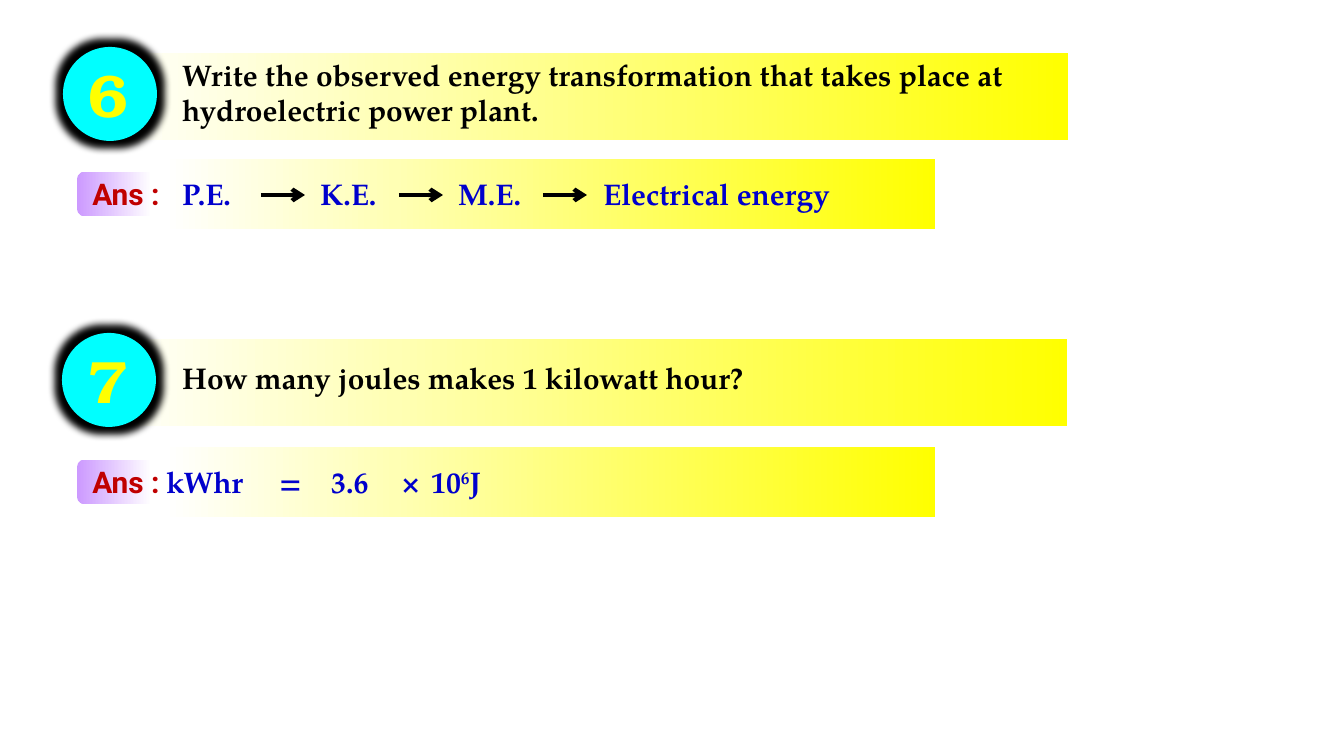
from lxml import etree
from pptx import Presentation
from pptx import util as u
from pptx.dml import color
from pptx.enum import shapes, text
from pptx.oxml import ns

SCALE = 914400 / 134.4
KIND = shapes.MSO_SHAPE
SERIF = dict(name="TeX Gyre Pagella", size=u.Pt(16), bold=True)
SANS = dict(SERIF, name="Roboto")
DIGIT = dict(name="TeX Gyre Bonum", size=u.Pt(32), bold=True)
MIDDLE = dict(word_wrap=True, vertical_anchor=text.MSO_ANCHOR.MIDDLE)
GROW = dict(word_wrap=True, auto_size=text.MSO_AUTO_SIZE.SHAPE_TO_FIT_TEXT)
YELLOW = [(0, "FFFF00"), (70, "FFFFB4"), (100, "FFFFFF")]
VIOLET = [(0, "CC99FF"), (55, "FFFFFF")]
BLUE = "0000CC"


def px(*vals):
    """Turn pixel lengths into EMU."""
    return [u.Emu(round(val * SCALE)) for val in vals]


def rgb(code):
    """Make a colour from a hex string."""
    return color.RGBColor.from_string(code)


def apply(obj, form):
    """Set each attribute named in a format dict."""
    for key, val in form.items():
        setattr(obj, key, val)


def child(node, tag, **attrs):
    """Append a drawing element with attributes."""
    return etree.SubElement(node, ns.qn("a:" + tag), attrs)


def write(frame, parts, font, hue, form, align=text.PP_ALIGN.LEFT):
    """Fill a frame with runs, raising every second one."""
    apply(frame, form)
    para = frame.paragraphs[0]
    para.alignment = align
    for num, part in enumerate(parts):
        run = para.add_run()
        run.text = part
        apply(run.font, font)
        run.font.color.rgb = rgb(hue)
        if num % 2:
            run.font._element.set("baseline", "30000")
    return para


def label(pool, box, parts, font, hue, form, align=text.PP_ALIGN.LEFT):
    """Add a text box."""
    frame = pool.add_textbox(*px(*box)).text_frame
    return write(frame, parts, font, hue, form, align)


def plate(pool, kind, box):
    """Add a shape without line or shadow."""
    shape = pool.add_shape(kind, *px(*box))
    shape.shadow.inherit = False
    shape.line.fill.background()
    return shape


def fade(pool, kind, box, stops, angle):
    """Add a shape with a linear gradient."""
    shape = plate(pool, kind, box)
    shape.fill.gradient()
    shape.fill.gradient_angle = angle
    ramp = shape._element.spPr.find(".//" + ns.qn("a:gsLst"))
    for old in list(ramp):
        ramp.remove(old)
    for pos, hue in stops:
        stop = child(ramp, "gs", pos=str(pos * 1000))
        child(stop, "srgbClr", val=hue)
    return shape


def badge(pool, left, top, digit):
    """Add a glowing disc with an outlined digit."""
    disc = plate(pool, KIND.OVAL, (left, top, 94, 94))
    disc.fill.solid()
    disc.fill.fore_color.rgb = rgb("00FFFF")
    effect = disc._element.spPr.find(ns.qn("a:effectLst"))
    glow = child(effect, "glow", rad="101600")
    child(glow, "srgbClr", val="000000")
    form = dict(GROW, word_wrap=False)
    para = label(pool, (75, top + 4, 67, 86), [digit], DIGIT, "FFFF00",
                 form, text.PP_ALIGN.CENTER)
    props = para.runs[0].font._element
    line = child(props, "ln", w=str(u.Pt(1.5)))
    child(child(line, "solidFill"), "srgbClr", val="000000")
    props.insert(0, line)


def ask(slide, left, top, digit, words):
    """Add a grouped question with its number."""
    pool = slide.shapes.add_group_shape().shapes
    bar = fade(pool, KIND.ROUNDED_RECTANGLE, (left + 45, top + 6, 960, 87),
               YELLOW, 180)
    bar.adjustments[0] = 0
    label(pool, (169, top - 19, 900, 128), [words], SERIF, "000000", MIDDLE)
    badge(pool, left, top, digit)


def reply(slide, top):
    """Add the answer tag and its bar."""
    pool = slide.shapes
    tag = fade(pool, KIND.ROUNDED_RECTANGLE, (77, top + 13, 136, 44),
               VIOLET, 0)
    write(tag.text_frame, ["Ans :"], SANS, "C00000", MIDDLE)
    fade(pool, KIND.RECTANGLE, (164, top, 771, 70), YELLOW, 180)


def arrow(slide, left, top):
    """Add an arrow pointing right."""
    line = slide.shapes.add_connector(
        shapes.MSO_CONNECTOR.STRAIGHT, *px(left, top, left + 44, top))
    line.line.color.rgb = rgb("000000")
    line.line.width = u.Pt(2.25)
    child(line.line._get_or_add_ln(), "tailEnd", type="arrow")
    child(line._element.spPr, "effectLst")


def main():
    """Build the slide."""
    deck = Presentation()
    deck.slide_width, deck.slide_height = px(1344, 756)
    slide = deck.slides.add_slide(deck.slide_layouts[6])
    ask(slide, 63, 47, "6", "Write the observed energy transformation "
        "that takes place at hydroelectric power plant.")
    reply(slide, 159)
    ask(slide, 62, 333, "7", "How many joules makes 1 kilowatt hour?")
    reply(slide, 447)
    steps = [(169, 90, "P.E."), (307, 90, "K.E."), (445, 97, "M.E."),
             (590, 254, "Electrical energy")]
    for left, width, word in steps:
        label(slide.shapes, (left, 169, width, 50), [word], SERIF, BLUE, GROW)
    for left in (261, 399, 543):
        arrow(slide, left, 195)
    terms = [(153, 132, ["kWhr"]), (266, 58, ["="]), (318, 116, ["3.6"]),
             (388, 58, ["×"]), (418, 116, ["10", "6", "J"])]
    for left, width, parts in terms:
        label(slide.shapes, (left, 457, width, 50), parts, SERIF, BLUE, GROW)
    deck.save("out.pptx")


if __name__ == "__main__":
    main()
